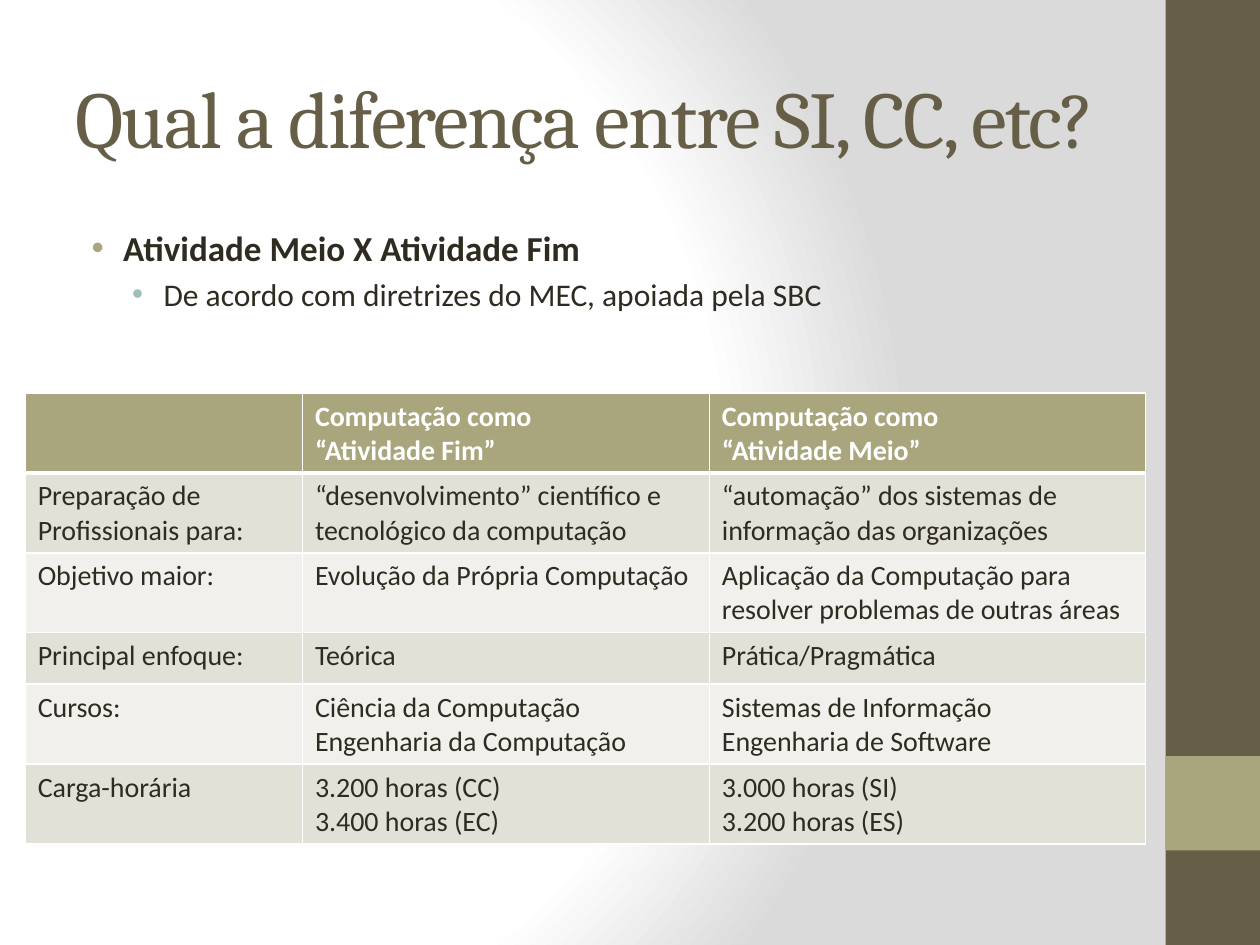
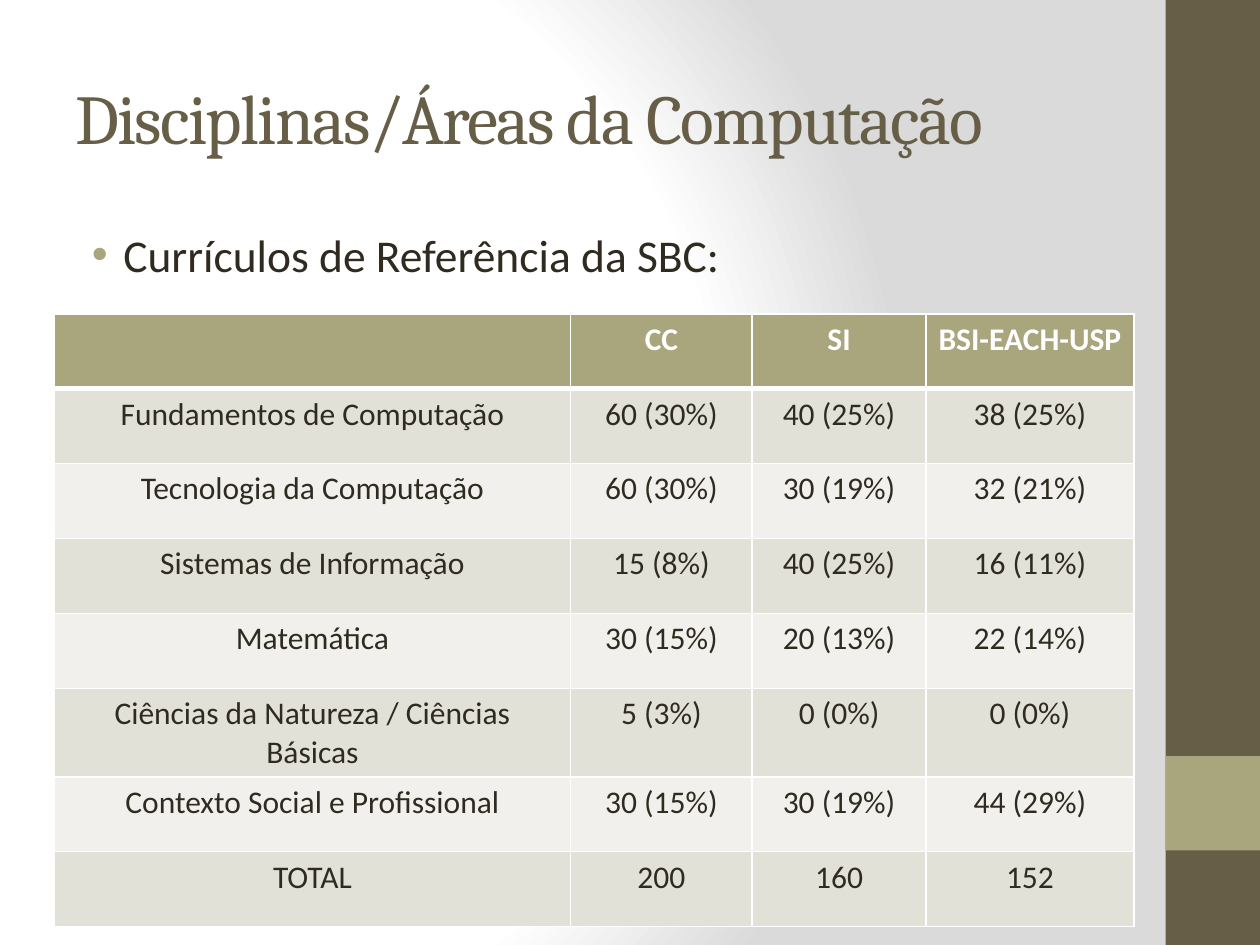
import dataclasses

import pptx
import pptx.dml.color
import pptx.enum.shapes
import pptx.enum.text
import pptx.oxml
import pptx.oxml.ns
import pptx.util
from pptx.util import Inches


@dataclasses.dataclass(frozen=True)
class Theme:
    title_font: str = "Cambria"
    body_font: str = "Calibri"
    brown: str = "675E47"
    olive: str = "A9A57C"
    teal: str = "9CBEBD"
    ink: str = "2F2B20"
    white: str = "FFFFFF"
    grey: str = "DADADA"
    row_bands: tuple = ("E2E1D7", "F1F0EC")
    title_spacing: int = -100
    thin_border: int = 1
    thick_border: int = 3


theme = Theme()
NAMESPACE = pptx.oxml.ns.nsdecls("a")
CENTER = pptx.enum.text.PP_ALIGN.CENTER
LEFT = pptx.enum.text.PP_ALIGN.LEFT
RGBColor = pptx.dml.color.RGBColor
BULLETS = [(0.38, theme.olive), (0.7, theme.teal)]  # text indent and colour by level
BULLET_HANG = 0.25


def write_text(frame, text, size, color=theme.ink, font=theme.body_font, bold=False,
               align=LEFT, spacing=None, level=None):
    """Append one paragraph per line of text; a level makes it a bullet."""
    for line in text.split("\n"):
        paragraph = frame.paragraphs[0]
        if paragraph.runs:
            paragraph = frame.add_paragraph()
        paragraph.alignment = align
        run = paragraph.add_run()
        run.text = line
        run.font.name = font
        run.font.size = pptx.util.Pt(size)
        run.font.bold = bold
        run.font.color.rgb = RGBColor.from_string(color)
        if spacing is not None:
            run.font._element.set("spc", str(spacing))
        if level is not None:
            indent, bullet_color = BULLETS[level]
            paragraph.level = level
            paragraph.space_before = pptx.util.Pt(size * 0.2)
            properties = paragraph._p.get_or_add_pPr()
            properties.set("marL", str(Inches(indent)))
            properties.set("indent", str(-Inches(BULLET_HANG)))
            for markup in (f'<a:buClr {NAMESPACE}><a:srgbClr val="{bullet_color}"/></a:buClr>',
                           f'<a:buFont {NAMESPACE} typeface="Arial"/>',
                           f'<a:buChar {NAMESPACE} char="•"/>'):
                properties.append(pptx.oxml.parse_xml(markup))


def style_cell(cell, fill, top, bottom):
    """Fill a cell and give it white borders; top and bottom are widths in points."""
    properties = cell._tc.get_or_add_tcPr()
    widths = {"L": theme.thin_border, "R": theme.thin_border, "T": top, "B": bottom}
    for side, width in widths.items():
        properties.append(pptx.oxml.parse_xml(
            f'<a:ln{side} {NAMESPACE} w="{pptx.util.Pt(width)}"><a:solidFill>'
            f'<a:srgbClr val="{theme.white}"/></a:solidFill></a:ln{side}>'))
    cell.fill.solid()
    cell.fill.fore_color.rgb = RGBColor.from_string(fill)


GAP = " "  # em space between credits and share
slides = [
    dict(
        title="Qual a diferença entre SI, CC, etc?", title_size=46, title_width=8.75,
        body=[("Atividade Meio X Atividade Fim", 20, True, 0),
              ("De acordo com diretrizes do MEC, apoiada pela SBC", 18, False, 1)],
        body_size=(8.33, 1.53),
        table_at=(0.2, 3.12), columns=(2.2, 3.23, 3.46), row_height=0.41,
        table_text=16, align=LEFT,
        rows=[
            ("", "Computação como\n“Atividade Fim”", "Computação como\n“Atividade Meio”"),
            ("Preparação de Profissionais para:",
             "“desenvolvimento” científico e tecnológico da computação",
             "“automação” dos sistemas de informação das organizações"),
            ("Objetivo maior:", "Evolução da Própria Computação",
             "Aplicação da Computação para resolver problemas de outras áreas"),
            ("Principal enfoque:", "Teórica", "Prática/Pragmática"),
            ("Cursos:", "Ciência da Computação\nEngenharia da Computação",
             "Sistemas de Informação\nEngenharia de Software"),
            ("Carga-horária", "3.200 horas (CC)\n3.400 horas (EC)",
             "3.000 horas (SI)\n3.200 horas (ES)"),
        ],
    ),
    dict(
        title="Disciplinas/Áreas da Computação", title_size=40, title_width=8.33,
        body=[("Currículos de Referência da SBC:", 26, False, 0)],
        body_size=(8.52, 0.58),
        table_at=(0.43, 2.49), columns=(4.1, 1.44, 1.38, 1.65), row_height=0.595,
        table_text=18, align=CENTER,
        rows=[
            ("", "CC", "SI", "BSI-EACH-USP"),
            ("Fundamentos de Computação", (60, 30), (40, 25), (38, 25)),
            ("Tecnologia da Computação", (60, 30), (30, 19), (32, 21)),
            ("Sistemas de Informação", (15, 8), (40, 25), (16, 11)),
            ("Matemática", (30, 15), (20, 13), (22, 14)),
            ("Ciências da Natureza / Ciências Básicas", (5, 3), (0, 0), (0, 0)),
            ("Contexto Social e Profissional", (30, 15), (30, 19), (44, 29)),
            ("TOTAL", "200", "160", "152"),
        ],
    ),
]

presentation = pptx.Presentation()
presentation.slide_width, presentation.slide_height = Inches(10), Inches(7.5)

# Radial background shared through the master
master = presentation.slide_master
master.background.fill.solid()
background = master.element.cSld.bg.bgPr
stops = "".join(f'<a:gs pos="{position * 1000}"><a:srgbClr val="{color}"/></a:gs>'
                for position, color in [(0, theme.white), (75, theme.white), (100, theme.grey)])
background.replace(background[0], pptx.oxml.parse_xml(
    f'<a:gradFill {NAMESPACE} rotWithShape="1"><a:gsLst>{stops}</a:gsLst><a:path path="circle">'
    '<a:fillToRect l="20000" t="50000" r="100000" b="50000"/></a:path></a:gradFill>'))

for content in slides:
    slide = presentation.slides.add_slide(presentation.slide_layouts[6])

    for top, height, color in [(0, 7.5, theme.brown), (6, 0.75, theme.olive)]:
        band = slide.shapes.add_shape(pptx.enum.shapes.MSO_SHAPE.RECTANGLE,
                                      Inches(9.25), Inches(top), Inches(0.75), Inches(height))
        band.shadow.inherit = False
        band.fill.solid()
        band.fill.fore_color.rgb = RGBColor.from_string(color)
        band.line.fill.background()

    title = slide.shapes.add_textbox(Inches(0.5), Inches(0.3),
                                     Inches(content["title_width"]), Inches(1.25)).text_frame
    title.word_wrap = True
    title.vertical_anchor = pptx.enum.text.MSO_ANCHOR.MIDDLE
    write_text(title, content["title"], content["title_size"], color=theme.brown,
               font=theme.title_font, spacing=theme.title_spacing)

    body_width, body_height = content["body_size"]
    body = slide.shapes.add_textbox(Inches(0.5), Inches(1.75),
                                    Inches(body_width), Inches(body_height)).text_frame
    body.word_wrap = True
    for text, size, bold, level in content["body"]:
        write_text(body, text, size, bold=bold, level=level)

    rows, columns = content["rows"], content["columns"]
    left, top = content["table_at"]
    table = slide.shapes.add_table(
        len(rows), len(columns), Inches(left), Inches(top),
        Inches(sum(columns)), Inches(content["row_height"] * len(rows))).table
    for column, width in zip(table.columns, columns):
        column.width = Inches(width)
    for row_index, values in enumerate(rows):
        is_header = row_index == 0
        fill = theme.olive if is_header else theme.row_bands[(row_index - 1) % 2]
        top_border = theme.thick_border if row_index == 1 else theme.thin_border
        bottom_border = theme.thick_border if is_header else theme.thin_border
        for column_index, value in enumerate(values):
            cell = table.cell(row_index, column_index)
            style_cell(cell, fill, top_border, bottom_border)
            if isinstance(value, tuple):
                credits, share = value
                value = f"{credits}{GAP}({share}%)"
            if value:
                write_text(cell.text_frame, value, content["table_text"],
                           color=theme.white if is_header else theme.ink,
                           bold=is_header, align=content["align"])

presentation.save("out.pptx")
